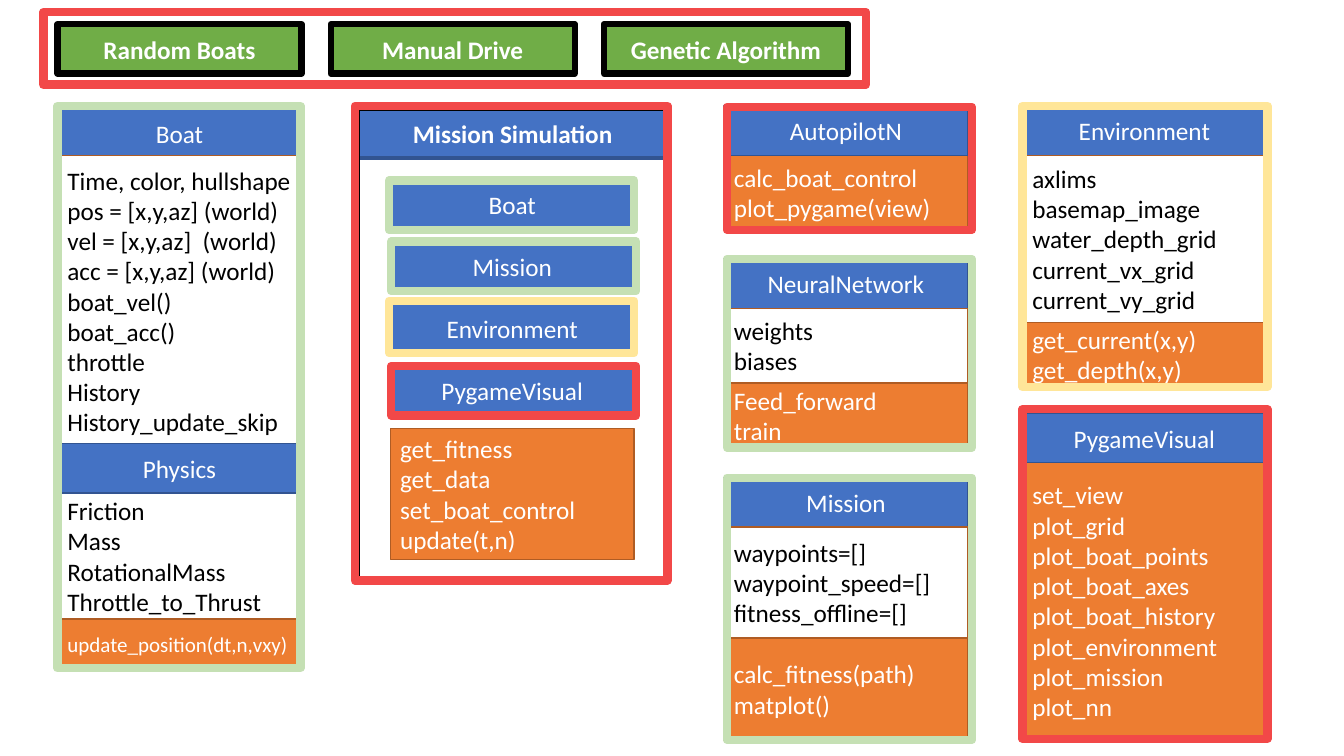
import pptx
import pptx.dml.color
import pptx.enum.shapes
import pptx.enum.text
import pptx.util

Inches = pptx.util.Inches
BLUE, NAVY, ORANGE, RUST = "4472C4", "325491", "ED7D31", "AF5C24"
WHITE, BLACK, GREEN = "FFFFFF", "000000", "70AD47"
RED, MINT, YELLOW = "F24848", "C5E0B4", "FFE699"
BOX_W, HEAD_H = 2.42, 0.49


def rgb(value):
    """Turn a hex string into a colour."""
    return pptx.dml.color.RGBColor.from_string(value)


def add_box(slide, box, fill, line, width, lines=(), color=WHITE, size=18, bold=False, center=False):
    """Draw a rectangle with one paragraph per line of text."""
    sp = slide.shapes.add_shape(pptx.enum.shapes.MSO_SHAPE.RECTANGLE, *map(Inches, box))
    sp.shadow.inherit = False
    if fill:
        sp.fill.solid()
        sp.fill.fore_color.rgb = rgb(fill)
    else:
        sp.fill.background()
    sp.line.color.rgb = rgb(line)
    sp.line.width = pptx.util.Pt(width)
    tf = sp.text_frame
    tf.word_wrap = True
    tf.vertical_anchor = pptx.enum.text.MSO_ANCHOR.MIDDLE
    align = pptx.enum.text.PP_ALIGN
    for i, text in enumerate(lines):
        p = tf.add_paragraph() if i else tf.paragraphs[0]
        p.text = text
        p.alignment = align.CENTER if center else align.LEFT
        p.font.name = "Calibri"
        p.font.size = pptx.util.Pt(size)
        p.font.bold = bold
        p.font.color.rgb = rgb(color)


def add_frame(slide, box, color):
    """Draw a thick outline."""
    add_box(slide, box, None, color, 6)


def add_header(slide, box, title, bold=False, width=1):
    """Draw a blue title bar."""
    add_box(slide, box, BLUE, NAVY, width, [title], bold=bold, center=True)


def add_fields(slide, box, lines):
    """Draw a white list of attributes."""
    add_box(slide, box, WHITE, RUST, 1, lines, BLACK)


def add_methods(slide, box, lines, size=18):
    """Draw an orange list of methods."""
    add_box(slide, box, ORANGE, RUST, 1, lines, size=size)


def add_class(slide, left, top, title, fields, fields_h, methods, methods_h):
    """Stack a title bar, optional attributes and methods."""
    body = top + HEAD_H
    add_methods(slide, (left, body + fields_h, BOX_W, methods_h), methods)
    add_header(slide, (left, top, BOX_W, HEAD_H), title)
    if fields:
        add_fields(slide, (left, body, BOX_W, fields_h), fields)


def add_modes(slide, left, top):
    """Draw the framed row of run modes."""
    for i, mode in enumerate(["Random Boats", "Manual Drive", "Genetic Algorithm"]):
        add_box(slide, (left + 0.14 + 2.71 * i, top + 0.12, BOX_W, HEAD_H),
                GREEN, BLACK, 4.5, [mode], bold=True, center=True)
    add_frame(slide, (left, top, 8.16, 0.72), RED)


def add_boat(slide, left, top):
    """Draw the Boat class with its Physics part."""
    add_header(slide, (left, top + 0.03, BOX_W, HEAD_H), "Boat")
    add_fields(slide, (left, top + 0.49, BOX_W, 2.89), [
        "Time, color, hullshape", "pos = [x,y,az] (world)", "vel = [x,y,az]  (world)",
        "acc = [x,y,az] (world)", "boat_vel()", "boat_acc()", "throttle", "History",
        "History_update_skip"])
    add_fields(slide, (left, top + 3.84, BOX_W, 1.25),
               ["Friction", "Mass", "RotationalMass", "Throttle_to_Thrust"])
    add_methods(slide, (left, top + 5.09, BOX_W, HEAD_H), ["update_position(dt,n,vxy)"], 15)
    add_header(slide, (left, top + 3.35, BOX_W, HEAD_H), "Physics")
    add_frame(slide, (left, top, 2.41, 5.58), MINT)


def add_simulation(slide, left, top):
    """Draw the Mission Simulation class with its framed parts."""
    add_header(slide, (left + 0.03, top + 0.03, 3.07, HEAD_H), "Mission Simulation", True, 3)
    inner = left + 0.35
    add_methods(slide, (inner, top + 3.2, BOX_W, 1.3),
                ["get_fitness", "get_data", "set_boat_control", "update(t,n)"])
    add_box(slide, (left + 0.03, top + 0.03, 3.07, 4.68), None, BLACK, 3)
    parts = [("Boat", MINT, -0.01, 0.01, 0.49), ("Mission", MINT, 0.01, 0, 0.49),
             ("Environment", YELLOW, -0.01, -0.03, 0.52), ("PygameVisual", RED, 0.01, 0, 0.49)]
    for i, (title, color, dx, dy, height) in enumerate(parts):
        y = top + 0.73 + 0.617 * i
        add_header(slide, (inner, y, BOX_W, HEAD_H), title)
        add_frame(slide, (inner + dx, y + dy, 2.43, height), color)
    add_frame(slide, (left, top, 3.1, 4.71), RED)


def add_control_column(slide, left):
    """Draw the autopilot, network and mission classes."""
    add_class(slide, left, 1.05, "AutopilotN", [], 0,
              ["calc_boat_control", "plot_pygame(view)"], 0.74)
    add_class(slide, left, 2.57, "NeuralNetwork", ["weights", "biases"], 0.74,
              ["Feed_forward", "train"], 0.64)
    add_class(slide, left, 4.74, "Mission",
              ["waypoints=[]", "waypoint_speed=[]", "fitness_offline=[]"], 1.1,
              ["calc_fitness(path)", "matplot()"], 1.01)
    for top, height, color in [(1.06, 1.22, RED), (2.57, 1.87, MINT), (4.74, 2.6, MINT)]:
        add_frame(slide, (left + 0.03, top, 2.43, height), color)


def add_view_column(slide, left):
    """Draw the environment and visual classes."""
    add_class(slide, left, 1.05, "Environment",
              ["axlims", "basemap_image", "water_depth_grid", "current_vx_grid",
               "current_vy_grid"], 1.66, ["get_current(x,y)", "get_depth(x,y)"], 0.64)
    add_class(slide, left, 4.1, "PygameVisual", [], 0,
              ["set_view", "plot_grid", "plot_boat_points", "plot_boat_axes",
               "plot_boat_history", "plot_environment", "plot_mission", "plot_nn"], 2.74)
    for top, height, color in [(1.05, 2.79, YELLOW), (4.06, 3.27, RED)]:
        add_frame(slide, (left, top, 2.43, height), color)


def main():
    """Build and save the slide."""
    prs = pptx.Presentation()
    prs.slide_width, prs.slide_height = Inches(13.33), Inches(7.5)
    slide = prs.slides.add_slide(prs.slide_layouts[6])
    add_boat(slide, 0.57, 1.05)
    add_simulation(slide, 3.52, 1.05)
    add_control_column(slide, 7.18)
    add_view_column(slide, 10.14)
    add_modes(slide, 0.43, 0.12)
    prs.save("out.pptx")


if __name__ == "__main__":
    main()
